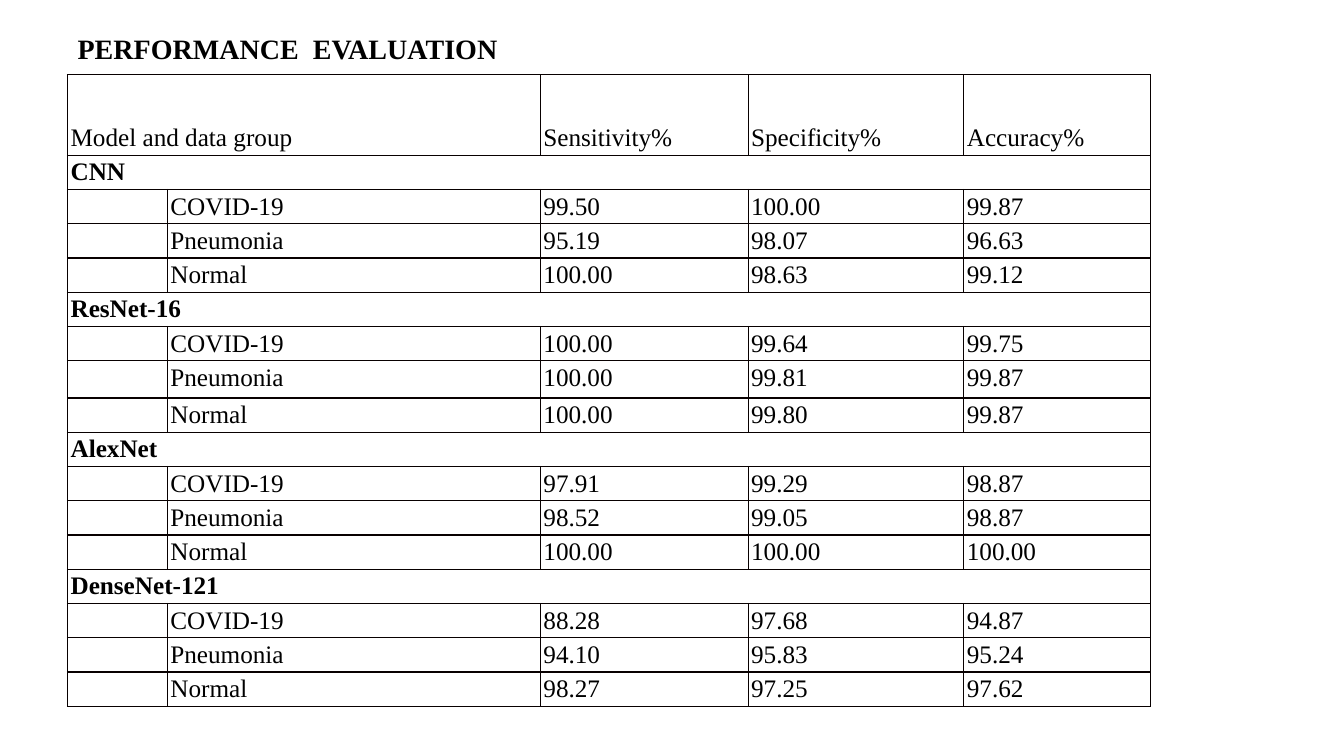
import pptx
import pptx.dml.color
import pptx.enum.text
import pptx.oxml
import pptx.oxml.ns
import pptx.util
import lxml.etree

Inches = pptx.util.Inches
Pt = pptx.util.Pt
ANCHOR = pptx.enum.text.MSO_ANCHOR

HEADINGS = ["Sensitivity%", "Specificity%", "Accuracy%"]
GROUPS = ["COVID-19", "Pneumonia", "Normal"]
RESULTS = {
    "CNN": [
        ["99.50", "100.00", "99.87"],
        ["95.19", "98.07", "96.63"],
        ["100.00", "98.63", "99.12"],
    ],
    "ResNet-16": [
        ["100.00", "99.64", "99.75"],
        ["100.00", "99.81", "99.87"],
        ["100.00", "99.80", "99.87"],
    ],
    "AlexNet": [
        ["97.91", "99.29", "98.87"],
        ["98.52", "99.05", "98.87"],
        ["100.00", "100.00", "100.00"],
    ],
    "DenseNet-121": [
        ["88.28", "97.68", "94.87"],
        ["94.10", "95.83", "95.24"],
        ["98.27", "97.25", "97.62"],
    ],
}
COLUMN_WIDTHS = [0.99, 3.7, 2.06, 2.14, 1.85]
HEADER_HEIGHT = 0.8
ROW_HEIGHT = 0.34
TALL_ROW, TALL_HEIGHT = 7, 0.37


def color(hex_code):
    return pptx.dml.color.RGBColor.from_string(hex_code)


class SlideBuilder:
    font_name = "Times New Roman"
    ink = "000000"
    border = "080000"
    inset = Inches(0.03)

    def __init__(self, deck):
        self.slide = deck.slides.add_slide(deck.slide_layouts[5])

    def style(self, text_frame, size, bold):
        for paragraph in text_frame.paragraphs:
            for run in paragraph.runs:
                run.font.name = self.font_name
                run.font.size = Pt(size)
                run.font.bold = bold
                run.font.color.rgb = color(self.ink)

    def title(self, text, left, top, width, height):
        heading = self.slide.shapes.title
        heading.left, heading.top = Inches(left), Inches(top)
        heading.width, heading.height = Inches(width), Inches(height)
        frame = heading.text_frame
        frame.text = text
        frame.auto_size = pptx.enum.text.MSO_AUTO_SIZE.NONE
        frame.vertical_anchor = ANCHOR.MIDDLE
        frame.paragraphs[0].alignment = pptx.enum.text.PP_ALIGN.LEFT
        self.style(frame, 20, True)

    def table(self, left, top, widths, heights):
        frame = self.slide.shapes.add_table(
            len(heights), len(widths), Inches(left), Inches(top),
            Inches(sum(widths)), Inches(sum(heights)))
        grid = frame.table
        grid.first_row = False
        grid.horz_banding = False
        for column, width in zip(grid.columns, widths):
            column.width = Inches(width)
        for row, height in zip(grid.rows, heights):
            row.height = Inches(height)
        for cell in (cell for row in grid.rows for cell in row.cells):
            self.blank_cell(cell)
        return grid

    def blank_cell(self, cell):
        cell.margin_left = cell.margin_right = self.inset
        cell.margin_top = cell.margin_bottom = self.inset
        properties = cell._tc.get_or_add_tcPr()
        for side in ("lnL", "lnR", "lnT", "lnB"):
            properties.append(pptx.oxml.parse_xml(
                f'<a:{side} {pptx.oxml.ns.nsdecls("a")} w="{Pt(1)}"><a:solidFill>'
                f'<a:srgbClr val="{self.border}"/></a:solidFill></a:{side}>'))
        cell.fill.background()
        end = lxml.etree.SubElement(
            cell.text_frame.paragraphs[0]._p, pptx.oxml.ns.qn("a:endParaRPr"))
        end.set("sz", "1200")

    def cell_text(self, cell, text, bold=False, anchor=ANCHOR.TOP):
        cell.text_frame.text = text
        cell.vertical_anchor = anchor
        self.style(cell.text_frame, 18, bold)


def main():
    deck = pptx.Presentation()
    deck.slide_width, deck.slide_height = Inches(13.33), Inches(7.5)
    builder = SlideBuilder(deck)
    builder.title("PERFORMANCE  EVALUATION", 0.67, 0.21, 5.13, 0.53)

    heights = [HEADER_HEIGHT] + [ROW_HEIGHT] * len(RESULTS) * (len(GROUPS) + 1)
    heights[TALL_ROW] = TALL_HEIGHT
    scores = builder.table(0.67, 0.74, COLUMN_WIDTHS, heights)

    scores.cell(0, 0).merge(scores.cell(0, 1))
    builder.cell_text(scores.cell(0, 0), "Model and data group", anchor=ANCHOR.BOTTOM)
    for column, heading in enumerate(HEADINGS, 2):
        builder.cell_text(scores.cell(0, column), heading, anchor=ANCHOR.BOTTOM)

    row = 1
    for model, group_scores in RESULTS.items():
        scores.cell(row, 0).merge(scores.cell(row, len(COLUMN_WIDTHS) - 1))
        builder.cell_text(scores.cell(row, 0), model, bold=True)
        for offset, (group, values) in enumerate(zip(GROUPS, group_scores), 1):
            for column, text in enumerate([group] + values, 1):
                builder.cell_text(scores.cell(row + offset, column), text)
        row += len(GROUPS) + 1

    deck.save("out.pptx")


if __name__ == "__main__":
    main()
